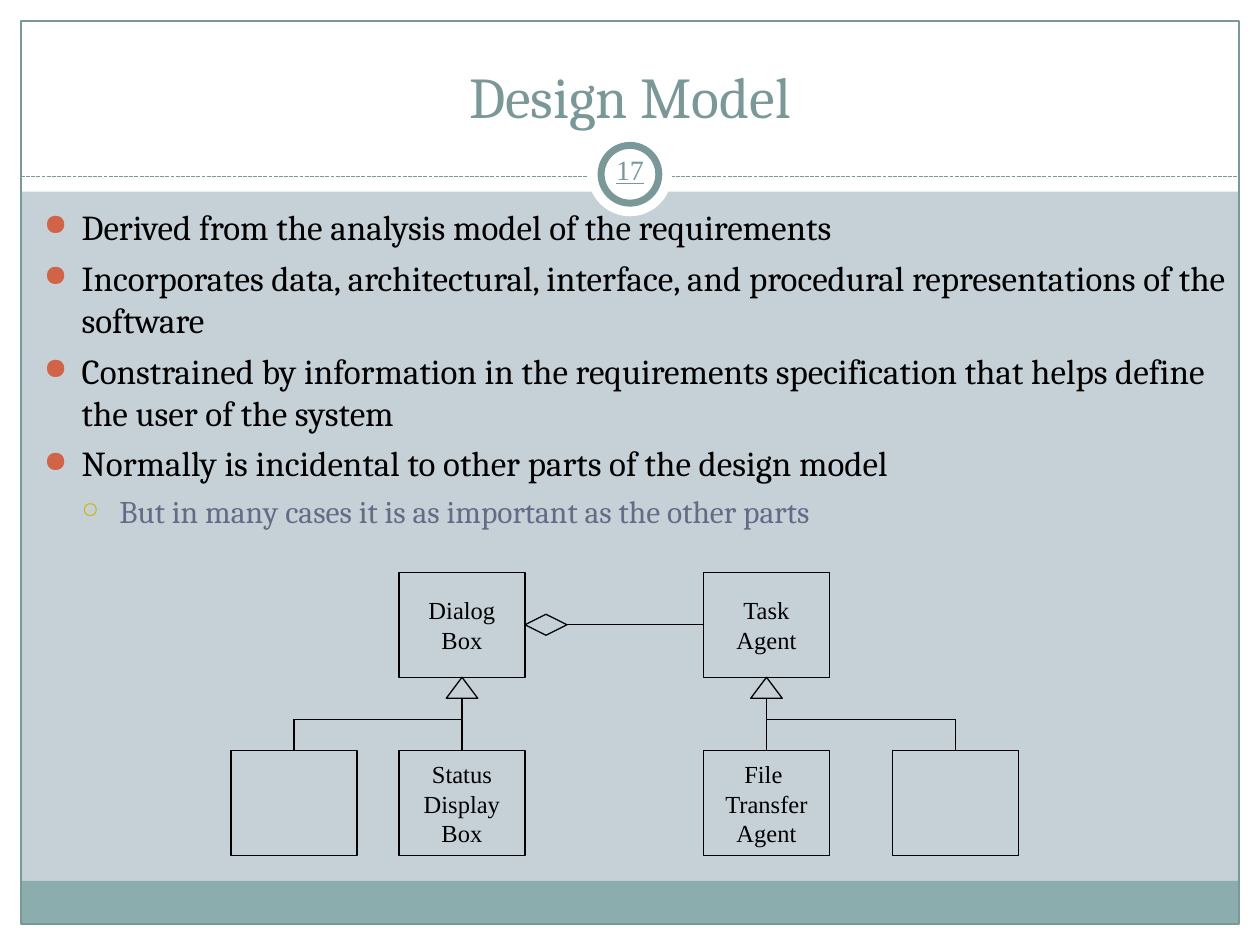
from lxml import etree
from pptx import Presentation
from pptx import util as u
from pptx.dml.color import RGBColor
from pptx.enum import dml, shapes, text
from pptx.oxml import ns

WHITE = RGBColor(0xFF, 0xFF, 0xFF)
BLACK = RGBColor(0, 0, 0)
BACKDROP = RGBColor(0xC5, 0xD1, 0xD7)
BAND = RGBColor(0x8C, 0xAD, 0xAE)
TEAL = RGBColor(0x7B, 0x98, 0x99)
SLATE = RGBColor(0x64, 0x6B, 0x86)
RED = RGBColor(0xD1, 0x63, 0x49)
GOLD = RGBColor(0xCC, 0xB4, 0x00)

COLUMNS, ROWS = 120, 90
CELL = u.Inches(10) / COLUMNS
BOX_WIDTH, BOX_HEIGHT = 12, 10
PARENT_ROW, FORK_ROW, CHILD_ROW = 54.5, 68.5, 71.5
SERIF, ROMAN = "Cambria", "Times New Roman"
TOP, LEFT, RIGHT = 0, 1, 3
PRESET = shapes.MSO_SHAPE
MIDDLE = text.MSO_ANCHOR.MIDDLE
CENTER = text.PP_ALIGN.CENTER

LEVELS = [
    {"size": 20, "color": BLACK, "before": 5, "bullet": "●", "bullet_color": RED, "percent": 85},
    {"size": 18, "color": SLATE, "before": 4.5, "bullet": "○", "bullet_color": GOLD, "percent": 70},
]
POINTS = [
    (0, "Derived from the analysis model of the requirements"),
    (0, "Incorporates data, architectural, interface, and procedural representations of the software"),
    (0, "Constrained by information in the requirements specification that helps define the user of the system"),
    (0, "Normally is incidental to other parts of the design model"),
    (1, "But in many cases it is as important as the other parts"),
]


def cells(*counts):
    return [u.Emu(round(count * CELL)) for count in counts]


def apply_format(target, values):
    for name, value in values.items():
        setattr(target, name, value)


def add_figure(slide, preset, area, fill=None, line=None, weight=0.75):
    shape = slide.shapes.add_shape(preset, *cells(*area))
    shape.shadow.inherit = False
    if fill is None:
        shape.fill.background()
    else:
        shape.fill.solid()
        shape.fill.fore_color.rgb = fill
    if line is None:
        shape.line.fill.background()
    else:
        shape.line.color.rgb = line
        shape.line.width = u.Pt(weight)
    return shape


def add_line(slide, start, end, color=BLACK, dash=None):
    connector = slide.shapes.add_connector(shapes.MSO_CONNECTOR.STRAIGHT, *cells(*start, *end))
    connector.line.color.rgb = color
    connector.line.width = u.Pt(0.75)
    if dash:
        connector.line.dash_style = dash
    etree.SubElement(connector._element.spPr, ns.qn("a:effectLst"))
    return connector


def write_paragraph(frame, index, words, color, font, layout):
    paragraph = frame.paragraphs[0] if index == 0 else frame.add_paragraph()
    apply_format(paragraph, layout)
    run = paragraph.add_run()
    run.text = words
    apply_format(run.font, font)
    run.font.color.rgb = color
    return paragraph


def add_label(slide, area, words, color, font, frame_format):
    frame = slide.shapes.add_textbox(*cells(*area)).text_frame
    apply_format(frame, {"word_wrap": True, **frame_format})
    write_paragraph(frame, 0, words, color, font, {"alignment": CENTER})


def add_bullet(paragraph, level, style):
    properties = paragraph._p.get_or_add_pPr()
    properties.set("marL", str(u.Inches(0.3 * (level + 1))))
    properties.set("indent", str(u.Inches(-0.3)))
    color = etree.SubElement(properties, ns.qn("a:buClr"))
    etree.SubElement(color, ns.qn("a:srgbClr"), val=str(style["bullet_color"]))
    etree.SubElement(properties, ns.qn("a:buSzPct"), val=str(style["percent"] * 1000))
    etree.SubElement(properties, ns.qn("a:buChar"), char=style["bullet"])


def add_points(slide):
    frame = slide.shapes.add_textbox(*cells(3, 19, 115, 54)).text_frame
    frame.word_wrap = True
    for index, (level, words) in enumerate(POINTS):
        style = LEVELS[level]
        font = {"size": u.Pt(style["size"]), "name": SERIF}
        layout = {"level": level, "space_before": u.Pt(style["before"])}
        paragraph = write_paragraph(frame, index, words, style["color"], font, layout)
        add_bullet(paragraph, level, style)


def add_class_box(slide, column, row, lines=()):
    box = add_figure(slide, PRESET.RECTANGLE, (column, row, BOX_WIDTH, BOX_HEIGHT), line=BLACK)
    frame = box.text_frame
    apply_format(frame, {"word_wrap": False, "vertical_anchor": MIDDLE})
    for index, words in enumerate(lines):
        font = {"size": u.Pt(14), "name": ROMAN}
        write_paragraph(frame, index, words, BLACK, font, {"alignment": CENTER})
    return box


def add_family(slide, column, side_column, parent_lines, child_lines):
    parent = add_class_box(slide, column, PARENT_ROW, parent_lines)
    child = add_class_box(slide, column, CHILD_ROW, child_lines)
    sibling = add_class_box(slide, side_column, CHILD_ROW)
    center, side_center = column + BOX_WIDTH / 2, side_column + BOX_WIDTH / 2
    parent_base = PARENT_ROW + BOX_HEIGHT
    add_figure(slide, PRESET.ISOSCELES_TRIANGLE, (center - 1.5, parent_base, 3, 2), line=BLACK)
    stem = add_line(slide, (center, parent_base + 2), (center, CHILD_ROW))
    stem.end_connect(child, TOP)
    drop = add_line(slide, (side_center, FORK_ROW), (side_center, CHILD_ROW))
    drop.end_connect(sibling, TOP)
    add_line(slide, (side_center, FORK_ROW), (center, FORK_ROW))
    return parent


def add_class_diagram(slide):
    dialog_column, task_column = 38, 67
    add_family(slide, dialog_column, 22, ["Dialog", "Box"], ["Status", "Display", "Box"])
    task = add_family(slide, task_column, 85, ["Task", "Agent"], ["File ", "Transfer", "Agent"])
    edge, middle = dialog_column + BOX_WIDTH, PARENT_ROW + BOX_HEIGHT / 2
    diamond = add_figure(slide, PRESET.DIAMOND, (edge, middle - 1, 4, 2), line=BLACK)
    association = add_line(slide, (edge + 4, middle), (task_column, middle))
    association.begin_connect(diamond, RIGHT)
    association.end_connect(task, LEFT)


def add_frame(slide):
    margins = [
        (0, ROWS - 2, COLUMNS, 2),
        (0, 0, COLUMNS, 18.25),
        (0, 0, 2, ROWS),
        (COLUMNS - 2, 0, 2, ROWS),
    ]
    for area in margins:
        add_figure(slide, PRESET.RECTANGLE, area, WHITE)
    add_figure(slide, PRESET.RECTANGLE, (2, 83.9, COLUMNS - 4, 4.1), BAND)
    add_figure(slide, PRESET.RECTANGLE, (2, 2, COLUMNS - 4, ROWS - 4), line=TEAL)
    add_line(slide, (2, 16.8), (COLUMNS - 2, 16.8), TEAL, dml.MSO_LINE.SQUARE_DOT)
    add_figure(slide, PRESET.OVAL, (56, 12.6, 8, 8), WHITE)
    add_figure(slide, PRESET.OVAL, (57.25, 13.85, 5.5, 5.5), WHITE, TEAL, 4)


def main():
    presentation = Presentation()
    presentation.slide_width, presentation.slide_height = cells(COLUMNS, ROWS)
    slide = presentation.slides.add_slide(presentation.slide_layouts[6])
    slide.background.fill.solid()
    slide.background.fill.fore_color.rgb = BACKDROP
    add_frame(slide)
    inset = u.Inches(0.05)
    add_label(slide, (57, 13.2, 6, 5.8), "17", TEAL,
              {"size": u.Pt(16), "name": ROMAN, "underline": True},
              {"vertical_anchor": MIDDLE, "margin_left": inset, "margin_right": inset})
    add_label(slide, (9, 4, 102, 9), "Design Model", TEAL,
              {"size": u.Pt(33), "name": SERIF},
              {"vertical_anchor": text.MSO_ANCHOR.BOTTOM})
    add_points(slide)
    add_class_diagram(slide)
    presentation.save("out.pptx")


if __name__ == "__main__":
    main()
